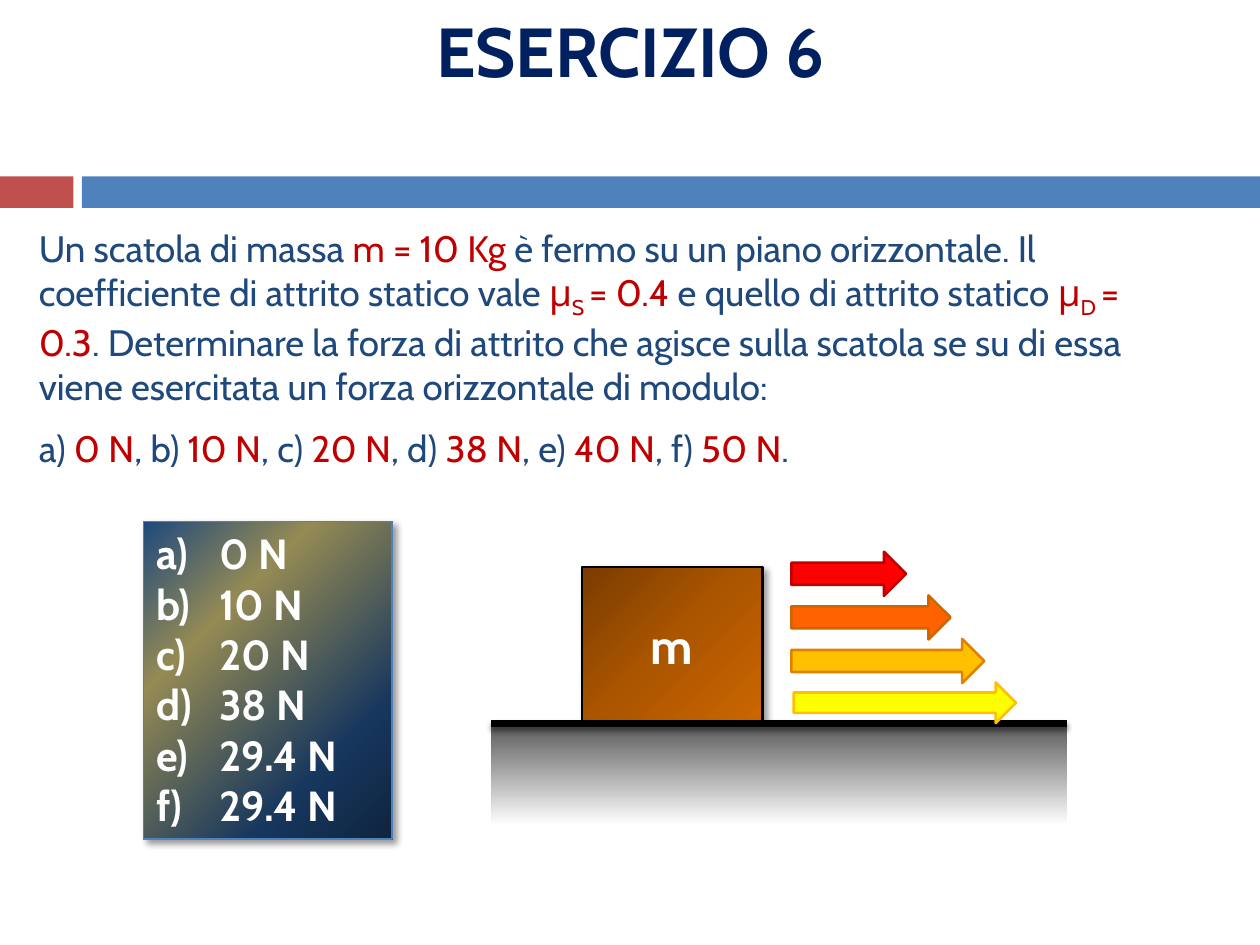
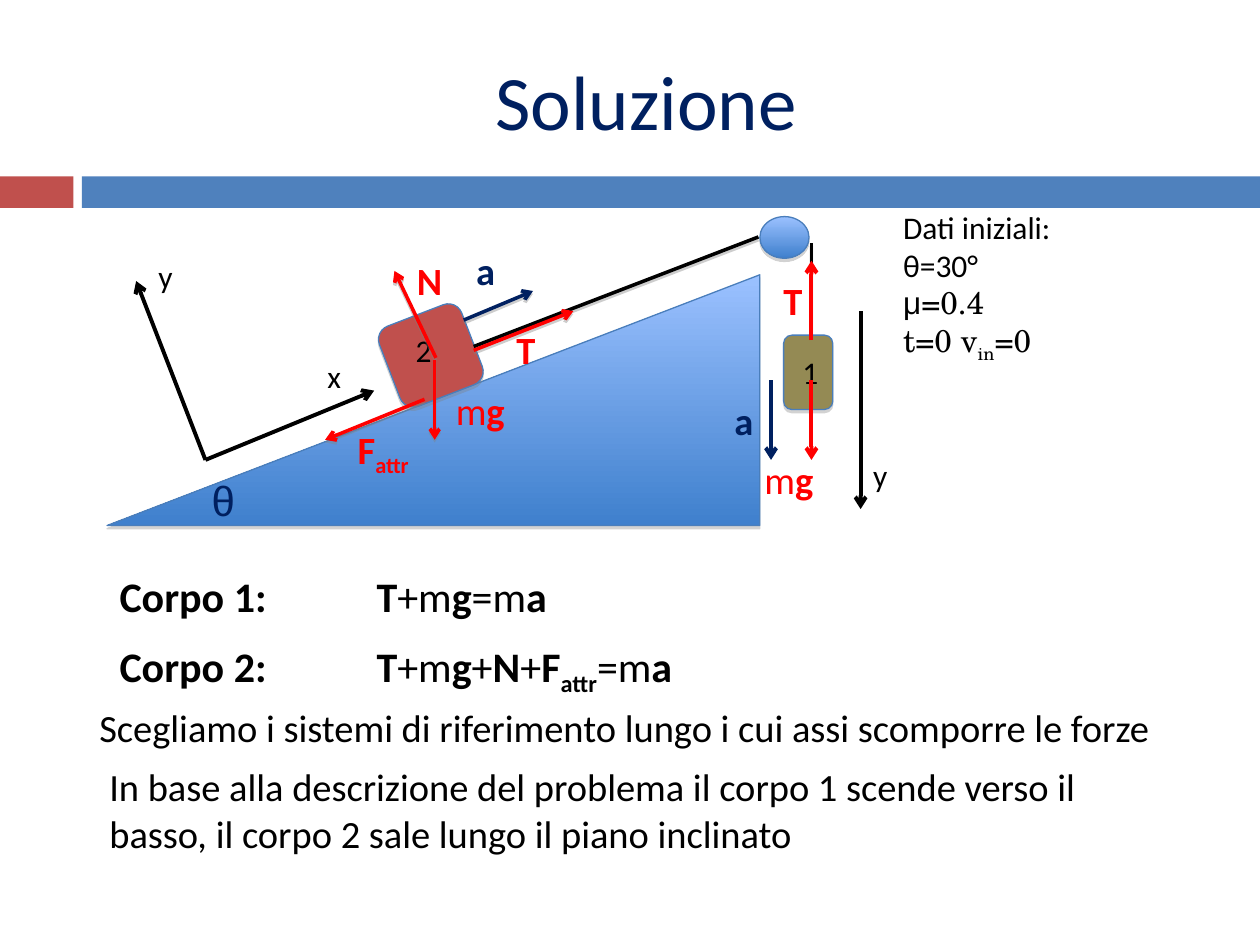
from pptx import Presentation
from pptx.dml.color import RGBColor
from pptx.enum.shapes import MSO_CONNECTOR, MSO_SHAPE
from pptx.enum.text import MSO_ANCHOR, MSO_AUTO_SIZE, PP_ALIGN
from pptx.oxml import parse_xml
from pptx.oxml.ns import nsdecls, qn
from pptx.util import Pt

CENTER, LEFT = PP_ALIGN.CENTER, PP_ALIGN.LEFT
TOP, MIDDLE = MSO_ANCHOR.TOP, MSO_ANCHOR.MIDDLE
RECTANGLE, ROUNDED = MSO_SHAPE.RECTANGLE, MSO_SHAPE.ROUNDED_RECTANGLE
TRIANGLE, OVAL, ARROW = MSO_SHAPE.RIGHT_TRIANGLE, MSO_SHAPE.OVAL, MSO_SHAPE.RIGHT_ARROW
STRAIGHT = MSO_CONNECTOR.STRAIGHT
TITLE_ONLY = 5

# Shared colours and styles
NAVY, BLUE, DARK_RED, RED = "002060", "1F497D", "C00000", "FF0000"
BLACK, WHITE, OUTLINE = "000000", "FFFFFF", "4A7EBB"
BANDS = [(0, 42, "C0504D"), (46.8, 673.2, "4F81BD")]
BAND_TOP, BAND_HEIGHT = 100.8, 18
SKY = ([(0, "9BC1FF"), (100, "3F80CD")], 90)

# Shadows: colour, opacity %, blur, distance, direction
SOFT_SHADOW = (BLACK, 40, 4, 3, 45)
GROUND_SHADOW = (BLACK, 45, 3, 2.4, 90)
BODY_SHADOW = ("808080", 35, 0, 1.8, 90)
LINE_SHADOW = ("808080", 38, 0, 1.6, 90)

# Run formats
VALUE = {"color": DARK_RED}
VALUE_SUB = {"color": DARK_RED, "baseline": -25}
STRONG = {"bold": True}
STRONG_SUB = {"bold": True, "baseline": -25}
SERIF = {"font": "TeX Gyre Schola"}
SERIF_SUB = {"font": "TeX Gyre Schola", "baseline": -25}

# Slide 1 content
PROBLEM = [
    ["Un scatola di massa ", ("m = 10 Kg ", VALUE),
     "è fermo su un piano orizzontale. Il coefficiente di attrito statico vale ",
     ("μ", VALUE), ("S ", VALUE_SUB), ("= 0.4 ", VALUE),
     "e quello di attrito statico ",
     ("μ", VALUE), ("D ", VALUE_SUB), ("= 0.3", VALUE),
     ". Determinare la forza di attrito che agisce sulla scatola se su di essa "
     "viene esercitata un forza orizzontale di modulo:"],
    ["a) ", ("0 N", VALUE), ", b) ", ("10 N", VALUE), ", c) ", ("20 N", VALUE),
     ", d) ", ("38 N", VALUE), ", e) ", ("40 N", VALUE), ", f) ", ("50 N", VALUE), "."],
]
ANSWERS = [["0 N"], ["10 N"], ["20 N"], ["38 N"], ["29.4 N"], ["29.4 N"]]
ANSWER_FILL = ([(0, "1F497D"), (30, "948A54"), (75, "17375E"), (100, "0F243E")], 45)
BOX_FILL = ([(0, "793C00"), (50, "AC5600"), (100, "CC6600")], 45)
GROUND_FILL = ([(0, "595959"), (100, WHITE)], 90)
# Force arrows: left, width, height, fill, line
FORCES = [
    (452.2, 65.5, 25.2, RED, DARK_RED),
    (452.2, 91, 25.2, "FF6201", "CC6600"),
    (452.2, 110.2, 25.2, "FFC000", "E28100"),
    (453.6, 127, 23.2, "FFFF00", "FFC000"),
]
FORCES_TOP, FORCES_STEP = 315.3, 24.9

# Slide 2 content
# Bodies: kind, position, fill, rotation, mirrored
BODIES = [
    (TRIANGLE, (61.2, 157, 373, 143.3), SKY, 0, True),
    (ROUNDED, (221, 178.6, 50.4, 49), "C0504D", 339, False),
    (ROUNDED, (447.8, 191.5, 28.1, 42.5), "948A54", 0, False),
    (OVAL, (434.2, 123.8, 28.1, 23.8), SKY, 0, False),
]
ROPES = [(433.4, 135.4, 270.7, 198), (463.7, 139, 463.7, 190.1)]
# Arrows with and without a shadow: start, end, colour
FLAT_ARROWS = [
    (117.4, 262.8, 77.8, 160.6, BLACK),
    (117.4, 262.8, 213.8, 223.2, BLACK),
    (491.8, 177.8, 491.8, 290.9, BLACK),
    (463.7, 217.4, 463.7, 262.8, RED),
    (463.7, 194.4, 463.7, 149, RED),
    (440.6, 217.4, 440.6, 262.8, NAVY),
]
SHADED_ARROWS = [
    (270.7, 200.2, 327.6, 177.8, RED),
    (242.6, 228.2, 185.8, 251.3, RED),
    (249.1, 204.5, 225.4, 154.8, RED),
    (248.4, 205.9, 248.4, 251.3, RED),
    (265, 182.9, 304.6, 166.3, NAVY),
]
WEIGHT = ["m", ("g", STRONG)]
# Labels: left, top, runs, size, colour
LABELS = [
    (113.8, 267.8, [("θ", {"font": "Arial"})], 24, NAVY),
    (451.4, 198, ["1"], 18, BLACK),
    (230.4, 185.8, ["2"], 18, BLACK),
    (83.5, 143.3, ["y"], 18, BLACK),
    (180, 200.2, ["x"], 18, BLACK),
    (491.8, 257, ["y"], 18, BLACK),
    (429.8, 257, WEIGHT, 22, RED),
    (253.4, 217.4, WEIGHT, 22, RED),
    (440.6, 154.8, [("T", STRONG)], 22, RED),
    (288, 182.9, [("T", STRONG)], 22, RED),
    (231.1, 143.3, [("N", STRONG)], 22, RED),
    (197.3, 239.8, [("F", STRONG), ("attr", STRONG_SUB)], 22, RED),
    (412.6, 223.2, [("a", STRONG)], 22, NAVY),
    (265, 137.5, [("a", STRONG)], 22, NAVY),
]
LABEL_WIDTH = 72
INITIAL_DATA = [
    ["Dati iniziali:"], ["θ=30°"],
    [("μ", {"font": "Arial"}), ("=0.4", SERIF)],
    [("t=0 v", SERIF), ("in", SERIF_SUB), ("=0", SERIF)],
]
EQUATIONS = [
    ("Corpo 1:", [("T", STRONG), "+m", ("g", STRONG), "=m", ("a", STRONG)]),
    ("Corpo 2:", [("T", STRONG), "+m", ("g", STRONG), "+", ("N", STRONG), "+",
                  ("F", STRONG), ("attr", STRONG_SUB), "=m", ("a", STRONG)]),
]
EQUATIONS_TOP, EQUATIONS_STEP = 322.6, 39.6
# Remarks: position, text
REMARKS = [
    ((49.7, 398.9, 660, 33.8),
     "Scegliamo i sistemi di riferimento lungo i cui assi scomporre le forze"),
    ((55.4, 432.7, 589.7, 60.5),
     "In base alla descrizione del problema il corpo 1 scende verso il basso, "
     "il corpo 2 sale lungo il piano inclinato"),
]


def rgb(value):
    return RGBColor.from_string(value)


def points(values):
    return [Pt(value) for value in values]


def shadow_effect(shadow):
    color, opacity, blur, distance, direction = shadow
    return parse_xml(
        f'<a:effectLst {nsdecls("a")}><a:outerShdw blurRad="{Pt(blur)}" '
        f'dist="{Pt(distance)}" dir="{direction * 60000}" algn="tl" rotWithShape="0">'
        f'<a:srgbClr val="{color}"><a:alpha val="{opacity * 1000}"/></a:srgbClr>'
        f'</a:outerShdw></a:effectLst>')


def write_text(frame, paragraphs, size=18, font="Calibri", color=BLACK, bold=False,
               align=LEFT, anchor=TOP, gap=0, shadow=None, lettered=False):
    """Fill a frame with paragraphs of runs; a run is text or (text, format)."""
    frame.word_wrap = True
    frame.auto_size = MSO_AUTO_SIZE.NONE
    frame.vertical_anchor = anchor
    for index, runs in enumerate(paragraphs):
        paragraph = frame.add_paragraph() if index else frame.paragraphs[0]
        paragraph.alignment = align
        if index and gap:
            paragraph.space_before = Pt(gap)
        if lettered:
            properties = paragraph._p.get_or_add_pPr()
            properties.set("marL", str(Pt(36)))
            properties.set("indent", str(Pt(-36)))
            properties.append(parse_xml(
                f'<a:buAutoNum {nsdecls("a")} type="alphaLcParenR"/>'))
        for item in runs:
            text, changes = (item, {}) if isinstance(item, str) else item
            style = {"font": font, "color": color, "bold": bold, "baseline": 0, **changes}
            run = paragraph.add_run()
            run.text = text
            run.font.size = Pt(size)
            run.font.bold = style["bold"]
            run.font.name = style["font"]
            run.font.color.rgb = rgb(style["color"])
            properties = run._r.get_or_add_rPr()
            if style["baseline"]:
                properties.set("baseline", str(style["baseline"] * 1000))
            if shadow:
                properties.find(qn("a:solidFill")).addnext(shadow_effect(shadow))


def add_text(slide, position, paragraphs, **style):
    box = slide.shapes.add_textbox(*points(position))
    write_text(box.text_frame, paragraphs, **style)


def add_body(slide, kind, position, fill, line=None, width=0.75, shadow=None):
    """Add a preset shape; fill is a colour or (stops, clockwise angle)."""
    shape = slide.shapes.add_shape(kind, *points(position))
    shape.shadow.inherit = False
    if isinstance(fill, str):
        shape.fill.solid()
        shape.fill.fore_color.rgb = rgb(fill)
    else:
        stops, angle = fill
        shape.fill.gradient()
        shape.fill.gradient_angle = 360 - angle
        stop_list = shape._element.spPr.find(qn("a:gradFill")).find(qn("a:gsLst"))
        stop_list[:] = [parse_xml(
            f'<a:gs {nsdecls("a")} pos="{place * 1000}"><a:srgbClr val="{color}"/></a:gs>')
            for place, color in stops]
    if line:
        shape.line.color.rgb = rgb(line)
        shape.line.width = Pt(width)
    else:
        shape.line.fill.background()
    if shadow:
        effects = shape._element.spPr.find(qn("a:effectLst"))
        effects.append(shadow_effect(shadow)[0])
    return shape


def add_line(slide, ends, color, width, arrow=False, shadow=None):
    connector = slide.shapes.add_connector(STRAIGHT, *points(ends))
    connector.line.color.rgb = rgb(color)
    connector.line.width = Pt(width)
    properties = connector._element.spPr
    if arrow:
        properties.find(qn("a:ln")).append(
            parse_xml(f'<a:tailEnd {nsdecls("a")} type="arrow"/>'))
    properties.append(shadow_effect(shadow) if shadow
                      else parse_xml(f'<a:effectLst {nsdecls("a")}/>'))


def add_slide(presentation, title, position, **style):
    """Add a slide with the colour bands and a formatted title."""
    slide = presentation.slides.add_slide(presentation.slide_layouts[TITLE_ONLY])
    for left, width, color in BANDS:
        add_body(slide, RECTANGLE, (left, BAND_TOP, width, BAND_HEIGHT), color)
    shape = slide.shapes.title
    shape.left, shape.top, shape.width, shape.height = points(position)
    write_text(shape.text_frame, [[title]], color=NAVY, align=CENTER, anchor=MIDDLE, **style)
    return slide


def build_exercise(presentation):
    slide = add_slide(presentation, "ESERCIZIO 6", (3.6, 0.7, 713.5, 55.4),
                      size=39.6, font="Cabin", bold=True, shadow=SOFT_SHADOW)
    add_text(slide, (15.1, 125.3, 663.1, 146.9), PROBLEM, size=21, font="Cabin",
             color=BLUE, gap=10.5, shadow=SOFT_SHADOW)

    # Answers
    answers = add_body(slide, RECTANGLE, (82.1, 298, 142, 181.5), ANSWER_FILL,
                       line="4F81BD", shadow=SOFT_SHADOW)
    write_text(answers.text_frame, ANSWERS, size=24, font="Cabin", color=WHITE,
               bold=True, lettered=True)

    # Box on the ground
    box = add_body(slide, RECTANGLE, (332.6, 324, 103, 89.3), BOX_FILL,
                   line=BLACK, width=1.5, shadow=SOFT_SHADOW)
    write_text(box.text_frame, [["m"]], size=28, font="Cabin", color=WHITE, bold=True,
               align=CENTER, anchor=MIDDLE)
    add_body(slide, RECTANGLE, (280.8, 413.3, 329, 58.3), GROUND_FILL)
    add_line(slide, (280.8, 413.3, 609.8, 413.3), BLACK, 3.75, shadow=GROUND_SHADOW)

    # Growing forces
    for index, (left, width, height, fill, line) in enumerate(FORCES):
        top = FORCES_TOP + index * FORCES_STEP
        add_body(slide, ARROW, (left, top, width, height), fill, line=line, width=1.5)


def build_solution(presentation):
    slide = add_slide(presentation, "Soluzione", (48.2, 18, 642.2, 77.8), size=44)

    # Inclined plane, bodies and ropes
    for kind, position, fill, rotation, mirrored in BODIES:
        body = add_body(slide, kind, position, fill, line=OUTLINE, shadow=BODY_SHADOW)
        body.rotation = rotation
        if mirrored:
            body._element.spPr.find(qn("a:xfrm")).set("flipH", "1")
    for ends in ROPES:
        add_line(slide, ends, BLACK, 2, shadow=LINE_SHADOW)

    # Labels, axes and forces
    for left, top, runs, size, color in LABELS:
        add_text(slide, (left, top, LABEL_WIDTH, size + 11), [runs], size=size, color=color)
    for *ends, color in FLAT_ARROWS:
        add_line(slide, ends, color, 2.25, arrow=True)
    for *ends, color in SHADED_ARROWS:
        add_line(slide, ends, color, 2, arrow=True, shadow=LINE_SHADOW)

    # Data, equations and remarks
    add_text(slide, (509, 115.2, 209.5, 116.6), INITIAL_DATA)
    for index, (name, equation) in enumerate(EQUATIONS):
        top = EQUATIONS_TOP + index * EQUATIONS_STEP
        add_text(slide, (61.2, top, 140, 36), [[name]], size=24, bold=True)
        add_text(slide, (208.1, top, 306, 36), [equation], size=24)
    for position, text in REMARKS:
        add_text(slide, position, [[text]], size=22)


def main():
    presentation = Presentation()
    presentation.slide_width, presentation.slide_height = Pt(720), Pt(540)
    build_exercise(presentation)
    build_solution(presentation)
    presentation.save("out.pptx")


if __name__ == "__main__":
    main()
